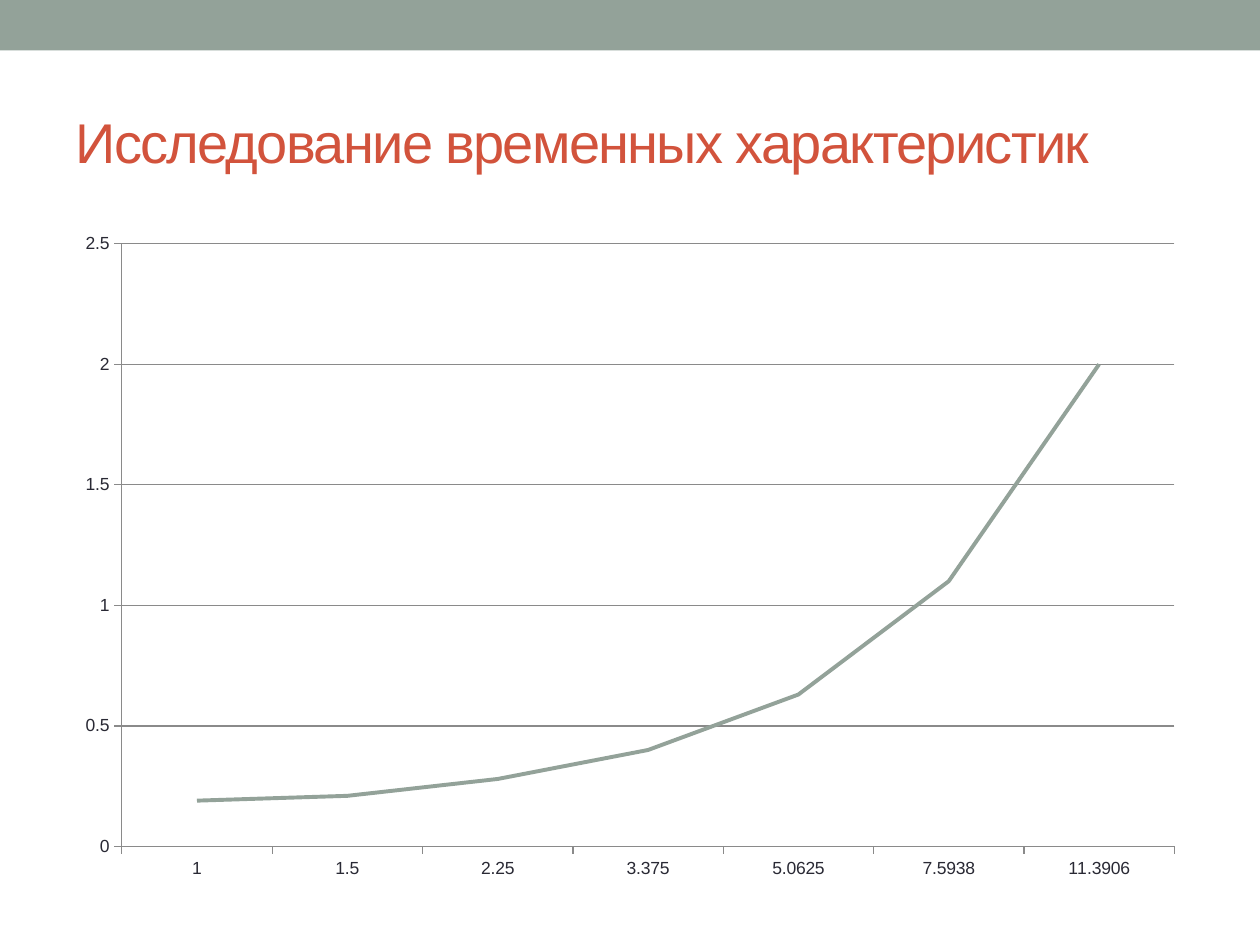
import pptx
import pptx.chart.data
import pptx.dml.color
import pptx.enum.chart
import pptx.enum.shapes
import pptx.enum.text
import pptx.util

SAGE = pptx.dml.color.RGBColor(0x93, 0xA2, 0x99)
BRICK = pptx.dml.color.RGBColor(0xD2, 0x53, 0x3C)
INK = pptx.dml.color.RGBColor(0x29, 0x29, 0x34)
GREY = pptx.dml.color.RGBColor(0x8A, 0x8A, 0x8A)
FONT = "Arial"
WIDTH = pptx.util.Inches(10)
HEIGHT = pptx.util.Inches(7.5)
MARGIN = WIDTH // 20
TIMES = {
    "1": 0.19, "1.5": 0.21, "2.25": 0.28, "3.375": 0.4,
    "5.0625": 0.63, "7.5938": 1.1, "11.3906": 2,
}


def style_font(font, size, color):
    """Set the typeface, point size and colour of a font."""
    font.name = FONT
    font.size = pptx.util.Pt(size)
    font.color.rgb = color


def add_band(page):
    """Add the coloured band along the top edge."""
    band = page.shapes.add_shape(
        pptx.enum.shapes.MSO_SHAPE.RECTANGLE, 0, 0, WIDTH, pptx.util.Inches(0.4))
    band.shadow.inherit = False
    band.fill.solid()
    band.fill.fore_color.rgb = SAGE
    band.line.fill.background()


def set_title(page, text):
    """Place and format the title."""
    title = page.shapes.title
    title.left, title.width = MARGIN, WIDTH - 2 * MARGIN
    title.top, title.height = pptx.util.Inches(0.58), pptx.util.Inches(1.08)
    frame = title.text_frame
    frame.text = text
    frame.word_wrap = True
    frame.auto_size = pptx.enum.text.MSO_AUTO_SIZE.NONE
    frame.vertical_anchor = pptx.enum.text.MSO_ANCHOR.MIDDLE
    para = frame.paragraphs[0]
    para.alignment = pptx.enum.text.PP_ALIGN.LEFT
    span = para.runs[0]
    style_font(span.font, 32, BRICK)
    span._r.get_or_add_rPr().set("spc", "-100")


def style_line(line, color, width):
    """Set the colour and point width of a line."""
    line.color.rgb = color
    line.width = pptx.util.Pt(width)


def style_axis(axis):
    """Give an axis a thin grey line and outside ticks."""
    axis.major_tick_mark = pptx.enum.chart.XL_TICK_MARK.OUTSIDE
    axis.minor_tick_mark = pptx.enum.chart.XL_TICK_MARK.NONE
    style_line(axis.format.line, GREY, 0.75)


def add_line_chart(page, values):
    """Add the line chart of the measured times."""
    data = pptx.chart.data.CategoryChartData()
    data.categories = list(values)
    data.add_series("Series 1", list(values.values()))
    chart = page.shapes.add_chart(
        pptx.enum.chart.XL_CHART_TYPE.LINE, MARGIN, pptx.util.Inches(1.75),
        WIDTH - 2 * MARGIN, pptx.util.Inches(5.33), data).chart
    chart.has_legend = False
    chart.has_title = False
    style_font(chart.font, 10, INK)
    for axis in (chart.category_axis, chart.value_axis):
        style_axis(axis)
    scale = chart.value_axis
    scale.minimum_scale, scale.maximum_scale, scale.major_unit = 0, 2.5, 0.5
    scale.has_major_gridlines = True
    style_line(scale.major_gridlines.format.line, GREY, 0.75)
    plot = chart.plots[0]
    plot.vary_by_categories = False
    series = plot.series[0]
    series.smooth = False
    series.marker.style = pptx.enum.chart.XL_MARKER_STYLE.NONE
    style_line(series.format.line, SAGE, 2.25)


def main():
    """Build and save the slide."""
    deck = pptx.Presentation()
    deck.slide_width, deck.slide_height = WIDTH, HEIGHT
    page = deck.slides.add_slide(deck.slide_layouts.get_by_name("Title Only"))
    add_band(page)
    set_title(page, "Исследование временных характеристик")
    add_line_chart(page, TIMES)
    deck.save("out.pptx")


main()
